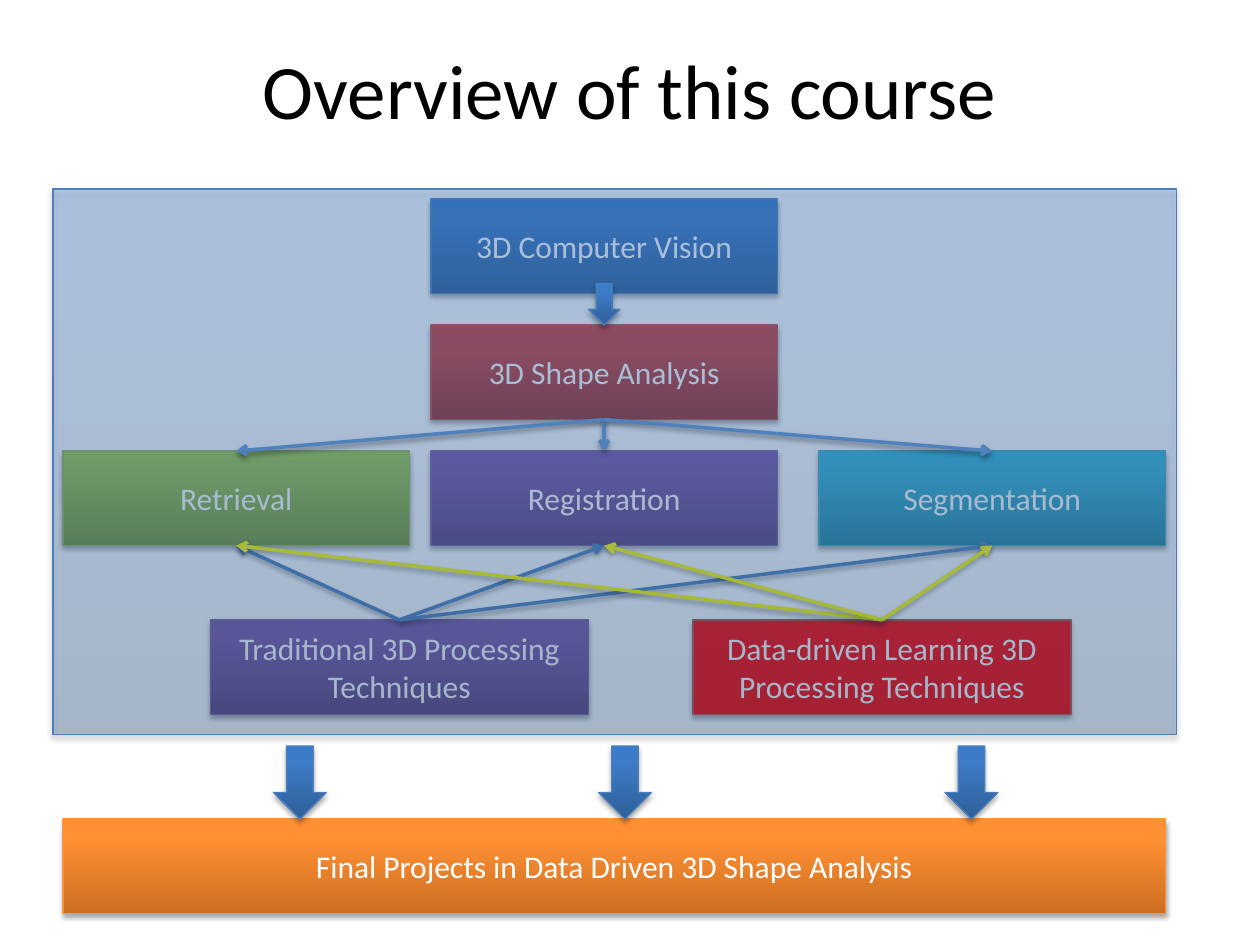
from dataclasses import dataclass

import pptx
import pptx.util
from lxml import etree
from pptx.dml.color import RGBColor
from pptx.enum.dml import MSO_LINE
from pptx.enum.shapes import MSO_CONNECTOR, MSO_SHAPE
from pptx.enum.text import MSO_ANCHOR, PP_ALIGN
from pptx.oxml.ns import qn
from pptx.util import Inches

FONT = "Calibri"
BLACK = RGBColor(0x00, 0x00, 0x00)
WHITE = RGBColor(0xFF, 0xFF, 0xFF)
RED = RGBColor(0xFF, 0x00, 0x00)
ARROW_BLUE = RGBColor(0x4F, 0x81, 0xBD)
ARROW_YELLOW = RGBColor(0xFF, 0xFF, 0x00)
STOP_POSITIONS = (0, 80, 100)


@dataclass(frozen=True)
class Theme:
    """Colours from the bottom of a shape to its top, and its outline."""
    stops: tuple[RGBColor, ...]
    outline: RGBColor


def make_theme(outline: str, *stops: str) -> Theme:
    return Theme(tuple(map(RGBColor.from_string, stops)), RGBColor.from_string(outline))


BLUE_THEME = make_theme("4B7EBC", "2F5F99", "3D7CC7", "3A7CCB")
GREEN_THEME = make_theme("98B955", "779737", "9BC348", "9DC746")
MAROON_THEME = make_theme("BF4C48", "9C2F2D", "CB3E3A", "CE3B37")
PURPLE_THEME = make_theme("7D60A0", "5F4480", "7B58A6", "7C57A8")
TEAL_THEME = make_theme("46AAC5", "2A88A2", "37B1D2", "34B4D6")
ORANGE_THEME = make_theme("F69240", "CC6E20", "FF9034", "FF9136")
RED_THEME = Theme((RED,), MAROON_THEME.outline)


@dataclass(frozen=True)
class Block:
    text: str
    left: float
    top: float
    width: float
    theme: Theme
    height: float = 0.75
    kind: MSO_SHAPE = MSO_SHAPE.RECTANGLE
    opacity: int = 100


def write_text(shape, text: str, *, size: float, color: RGBColor) -> None:
    frame = shape.text_frame
    frame.word_wrap = True
    frame.vertical_anchor = MSO_ANCHOR.MIDDLE
    paragraph = frame.paragraphs[0]
    paragraph.alignment = PP_ALIGN.CENTER
    run = paragraph.add_run()
    run.text = text
    run.font.name = FONT
    run.font.size = pptx.util.Pt(size)
    run.font.color.rgb = color


def add_color(parent, color: RGBColor, opacity: int) -> None:
    element = etree.SubElement(parent, qn("a:srgbClr"), val=str(color))
    if opacity < 100:
        etree.SubElement(element, qn("a:alpha"), val=str(opacity * 1000))


def add_shadow(properties, distance: float, opacity: int) -> None:
    effects = properties.find(qn("a:effectLst"))
    if effects is None:
        effects = etree.SubElement(properties, qn("a:effectLst"))
    shadow = etree.SubElement(
        effects, qn("a:outerShdw"), blurRad=str(pptx.util.Pt(3.1)),
        dist=str(pptx.util.Pt(distance)), dir="5400000", rotWithShape="0")
    add_color(shadow, BLACK, opacity)


def fill_shape(shape, theme: Theme, opacity: int) -> None:
    if len(theme.stops) == 1:
        shape.fill.solid()
        shape.fill.fore_color.rgb = theme.stops[0]
        return
    shape.fill.gradient()
    shape.fill.gradient_angle = 90
    stop_list = shape._element.spPr.find(qn("a:gradFill")).find(qn("a:gsLst"))
    for stop in list(stop_list):
        stop_list.remove(stop)
    for position, color in zip(STOP_POSITIONS, theme.stops):
        stop = etree.SubElement(stop_list, qn("a:gs"), pos=str(position * 1000))
        add_color(stop, color, opacity)


def add_block(slide, block: Block):
    shape = slide.shapes.add_shape(
        block.kind, Inches(block.left), Inches(block.top),
        Inches(block.width), Inches(block.height))
    fill_shape(shape, block.theme, block.opacity)
    shape.line.color.rgb = block.theme.outline
    shape.line.width = pptx.util.Pt(0.75)
    shape.shadow.inherit = False
    add_shadow(shape._element.spPr, 1.8, 35)
    if block.text:
        write_text(shape, block.text, size=18, color=WHITE)
    return shape


def add_arrow(slide, start, start_side: int, end, end_side: int, color: RGBColor) -> None:
    connector = slide.shapes.add_connector(MSO_CONNECTOR.STRAIGHT, 0, 0, 0, 0)
    connector.begin_connect(start, start_side)
    connector.end_connect(end, end_side)
    connector.line.color.rgb = color
    connector.line.width = pptx.util.Pt(2)
    connector.line.dash_style = MSO_LINE.SOLID
    etree.SubElement(connector.line._get_or_add_ln(), qn("a:tailEnd"), type="arrow")
    add_shadow(connector._element.spPr, 1.6, 38)


def add_down_arrow(slide, left: float, top: float, width: float, height: float) -> None:
    add_block(slide, Block("", left, top, width, BLUE_THEME, height, MSO_SHAPE.DOWN_ARROW))


def main() -> None:
    presentation = pptx.Presentation()
    presentation.slide_width = Inches(10)
    presentation.slide_height = Inches(7.5)
    slide = presentation.slides.add_slide(presentation.slide_layouts[6])

    # Title
    title = slide.shapes.add_textbox(Inches(0.5), Inches(0.08), Inches(9), Inches(1.25))
    write_text(title, "Overview of this course", size=44, color=BLACK)

    # Topics, tasks, techniques and projects
    add_block(slide, Block("3D Computer Vision", 3.42, 1.58, 2.75, BLUE_THEME))
    analysis = add_block(slide, Block("3D Shape Analysis", 3.42, 2.58, 2.75, MAROON_THEME))
    tasks = [add_block(slide, Block(text, left, 3.58, 2.75, theme)) for text, left, theme in (
        ("Retrieval", 0.5, GREEN_THEME),
        ("Registration", 3.42, PURPLE_THEME),
        ("Segmentation", 6.5, TEAL_THEME),
    )]
    learning = add_block(slide, Block(
        "Data-driven Learning 3D Processing Techniques", 5.5, 4.92, 3, RED_THEME))
    traditional = add_block(slide, Block(
        "Traditional 3D Processing Techniques", 1.67, 4.92, 3, PURPLE_THEME))
    add_block(slide, Block(
        "Final Projects in Data Driven 3D Shape Analysis", 0.5, 6.5, 8.75, ORANGE_THEME))

    # Techniques lead up to every task
    for technique, color in ((traditional, ARROW_BLUE), (learning, ARROW_YELLOW)):
        for task in tasks:
            add_arrow(slide, technique, 0, task, 2, color)

    # Translucent panel over the course content
    add_block(slide, Block("", 0.42, 1.5, 8.92, BLUE_THEME, height=4.33, opacity=33))

    # Block arrows
    for left in (2.17, 4.75, 7.5):
        add_down_arrow(slide, left, 5.92, 0.42, 0.58)
    add_down_arrow(slide, 4.67, 2.25, 0.25, 0.33)

    # Shape analysis splits into the tasks
    for task in tasks:
        add_arrow(slide, analysis, 2, task, 0, ARROW_BLUE)

    presentation.save("out.pptx")


if __name__ == "__main__":
    main()
